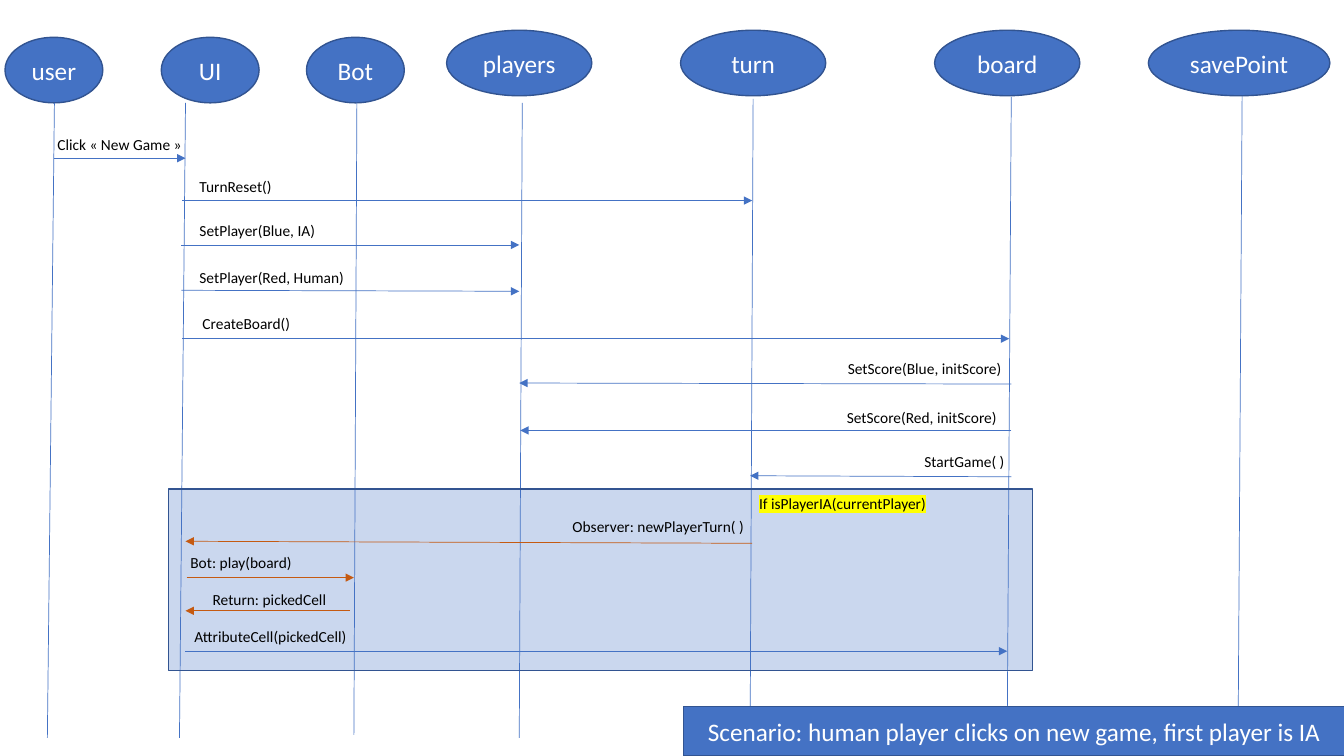
from pptx import Presentation
from pptx.dml.color import RGBColor
from pptx.enum import shapes, text
from pptx.oxml import ns, xmlchemy
from pptx.util import Inches, Pt

COLORS = {
    "blue": "4472C4",
    "outline": "325491",
    "orange": "C55A11",
    "white": "FFFFFF",
    "black": "000000",
    "yellow": "FFFF00",
}
LIFELINE_LENGTH = 6.3
LABEL_HEIGHT = 0.29

presentation = Presentation()
presentation.slide_width = Inches(13.33)
presentation.slide_height = Inches(7.5)
slide = presentation.slides.add_slide(presentation.slide_layouts[6])


def add_line(start, end, color="blue", arrow=False):
    line = slide.shapes.add_connector(
        shapes.MSO_CONNECTOR.STRAIGHT, *map(Inches, start + end))
    line.line.color.rgb = RGBColor.from_string(COLORS[color])
    line.line.width = Pt(0.5)
    if arrow:
        tail = xmlchemy.OxmlElement("a:tailEnd")
        tail.set("type", "triangle")
        line.line._get_or_add_ln().append(tail)
    line._element.spPr.append(xmlchemy.OxmlElement("a:effectLst"))


def add_box(kind, left, top, width, height, caption=""):
    shape = slide.shapes.add_shape(
        kind, Inches(left), Inches(top), Inches(width), Inches(height))
    shape.shadow.inherit = False
    shape.fill.solid()
    shape.fill.fore_color.rgb = RGBColor.from_string(COLORS["blue"])
    shape.line.color.rgb = RGBColor.from_string(COLORS["outline"])
    shape.line.width = Pt(1)
    if caption:
        shape.text_frame.text = caption
        shape.text_frame.vertical_anchor = text.MSO_ANCHOR.MIDDLE
        paragraph = shape.text_frame.paragraphs[0]
        paragraph.alignment = text.PP_ALIGN.CENTER
        font = paragraph.runs[0].font
        font.name, font.size = "Calibri", Pt(18)
        font.color.rgb = RGBColor.from_string(COLORS["white"])
    return shape


# Participants: name, ellipse left, top, width, lifeline start x, y, end x
participants = [
    ("user", 0.05, 0.37, 0.97, 0.54, 1.02, 0.47),
    ("UI", 1.6, 0.37, 0.97, 1.84, 1.02, 1.78),
    ("Bot", 3.04, 0.37, 0.97, 3.54, 0.99, 3.51),
    ("players", 4.43, 0.3, 1.44, 5.18, 1.02, 5.15),
    ("turn", 6.75, 0.3, 1.44, 7.47, 0.98, 7.44),
    ("board", 9.27, 0.3, 1.44, 10.03, 0.96, 9.99),
    ("savePoint", 11.39, 0.3, 1.8, 12.32, 0.95, 12.28),
]
for name, left, top, width, start_x, start_y, end_x in participants:
    add_box(shapes.MSO_SHAPE.OVAL, left, top, width, 0.65, name)
    add_line((start_x, start_y), (end_x, start_y + LIFELINE_LENGTH))

# Scenario banner and translucent frame of the conditional part
add_box(shapes.MSO_SHAPE.RECTANGLE, 6.78, 7.01, 6.56, 0.49,
        "Scenario: human player clicks on new game, first player is IA")
frame = add_box(shapes.MSO_SHAPE.RECTANGLE, 1.67, 4.85, 8.57, 1.8)
alpha = xmlchemy.OxmlElement("a:alpha")
alpha.set("val", "28000")
frame._element.spPr.find(ns.qn("a:solidFill"))[0].append(alpha)

# Messages: arrow start, arrow end, colour, label, label left, top, width
messages = [
    ((0.54, 1.57), (1.84, 1.57), "blue", "Click « New Game »", 0.47, 1.29, 1.59),
    ((1.81, 1.99), (7.46, 1.99), "blue", "TurnReset()", 1.88, 1.71, 1.59),
    ((1.8, 2.43), (5.15, 2.43), "blue", "SetPlayer(Blue, IA)", 1.88, 2.14, 1.59),
    ((1.8, 2.88), (5.15, 2.89), "blue", "SetPlayer(Red, Human)", 1.88, 2.61, 1.77),
    ((1.81, 3.36), (10.01, 3.36), "blue", "CreateBoard()", 1.91, 3.07, 1.59),
    ((10.03, 3.81), (5.15, 3.8), "blue", "SetScore(Blue, initScore)", 8.31, 3.51, 1.82),
    ((10.03, 4.27), (5.16, 4.27), "blue", "SetScore(Red, initScore)", 8.3, 4, 1.82),
    ((10.03, 4.73), (7.44, 4.72), "blue", "StartGame( )", 9.07, 4.44, 1.04),
    ((7.46, 5.39), (1.84, 5.37), "orange", "Observer: newPlayerTurn( )", 5.58, 5.08, 1.96),
    ((1.85, 5.73), (3.51, 5.73), "orange", "Bot: play(board)", 1.79, 5.44, 1.96),
    ((3.47, 6.06), (1.84, 6.06), "orange", "Return: pickedCell", 2.01, 5.81, 1.96),
    ((1.84, 6.46), (9.99, 6.46), "blue", "AttributeCell(pickedCell)", 1.83, 6.17, 1.77),
]
for start, end, color, *_ in messages:
    add_line(start, end, color, arrow=True)

# Labels of the messages, then the condition of the frame
condition = ("If isPlayerIA(currentPlayer)", 7.43, 4.85, 1.9)
for caption, left, top, width in [message[3:] for message in messages] + [condition]:
    label = slide.shapes.add_textbox(
        Inches(left), Inches(top), Inches(width), Inches(LABEL_HEIGHT))
    label.text_frame.word_wrap = True
    label.text_frame.auto_size = text.MSO_AUTO_SIZE.SHAPE_TO_FIT_TEXT
    label.text_frame.text = caption
    run = label.text_frame.paragraphs[0].runs[0]
    run.font.name, run.font.size = "Calibri", Pt(11)
    run.font.color.rgb = RGBColor.from_string(COLORS["black"])

# Highlight the condition, the last label written
highlight = xmlchemy.OxmlElement("a:highlight")
highlight_color = xmlchemy.OxmlElement("a:srgbClr")
highlight_color.set("val", COLORS["yellow"])
highlight.append(highlight_color)
run.font._element.find(ns.qn("a:solidFill")).addnext(highlight)

presentation.save("out.pptx")
